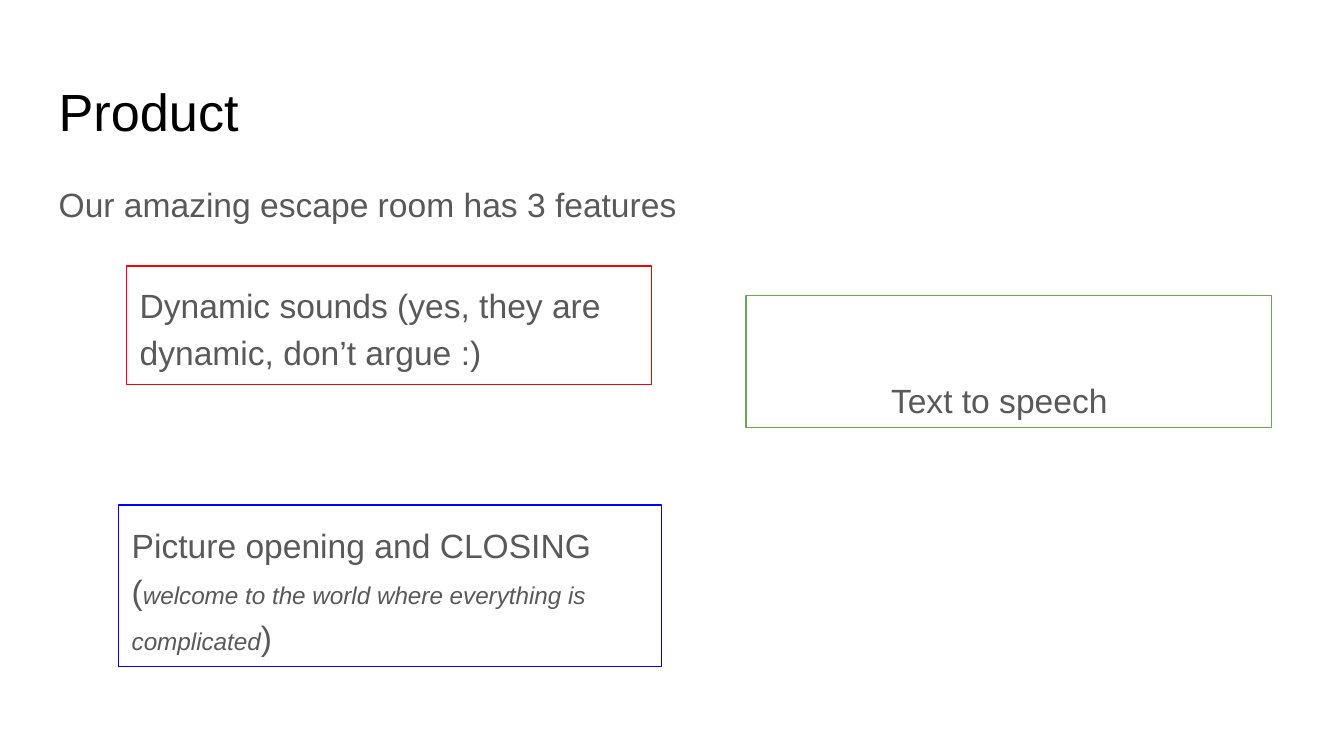
import pptx
import pptx.util
import pptx.dml.color
import pptx.enum.shapes
import pptx.enum.text

Cm = pptx.util.Cm
COLOURS = {"title": "000000", "text": "595959", "sounds": "FF0000",
           "speech": "6AA84F", "picture": "0000FF"}


class FeaturePage:
    """Hold the text style and the page, and add its elements."""

    font = "Arial"
    inset = 0.25

    def __init__(self, deck):
        self.page = deck.slides.add_slide(deck.slide_layouts[6])

    def colour(self, name):
        return pptx.dml.color.RGBColor.from_string(COLOURS[name])

    def fill_text(self, box, spans, colour="text", spacing=1.15, indent=0, bottom=None):
        frame = box.text_frame
        frame.word_wrap = True
        frame.margin_left = Cm(self.inset + indent)
        frame.margin_right = frame.margin_top = Cm(self.inset)
        frame.margin_bottom = Cm(self.inset if bottom is None else bottom)
        anchors = pptx.enum.text.MSO_ANCHOR
        frame.vertical_anchor = anchors.TOP if bottom is None else anchors.BOTTOM
        para = frame.paragraphs[0]
        para.alignment = pptx.enum.text.PP_ALIGN.LEFT
        para.line_spacing = spacing
        for text, size, italic in spans:
            span = para.add_run()
            span.text = text
            span.font.name = self.font
            span.font.size = pptx.util.Pt(size)
            span.font.italic = italic
            span.font.color.rgb = self.colour(colour)

    def add_text(self, place, spans, **style):
        box = self.page.shapes.add_textbox(*map(Cm, place))
        self.fill_text(box, spans, **style)

    def add_frame(self, place, line, spans, **style):
        rectangle = pptx.enum.shapes.MSO_SHAPE.RECTANGLE
        box = self.page.shapes.add_shape(rectangle, *map(Cm, place))
        box.shadow.inherit = False
        box.fill.background()
        box.line.color.rgb = self.colour(line)
        box.line.width = pptx.util.Pt(0.75)
        self.fill_text(box, spans, **style)


def main():
    deck = pptx.Presentation()
    deck.slide_width, deck.slide_height = Cm(25.4), Cm(14.29)
    page = FeaturePage(deck)
    page.add_text((0.86, 1.24, 23.67, 1.6), [("Product", 28, False)],
                  colour="title", spacing=1.0)
    page.add_text((0.86, 3.12, 23.67, 9.5),
                  [("Our amazing escape room has 3 features", 18, False)])
    page.add_frame((2.39, 5.03, 9.93, 2.24), "sounds",
                   [("Dynamic sounds (yes, they are dynamic, don’t argue :)", 18, False)])
    page.add_frame((14.1, 5.59, 9.93, 2.49), "speech",
                   [("Text to speech", 18, False)], indent=2.49, bottom=0.13)
    page.add_frame((2.24, 9.55, 10.26, 3.05), "picture",
                   [("Picture opening and CLOSING (", 18, False),
                    ("welcome to the world where everything is complicated", 13, True),
                    (")", 18, False)])
    deck.save("out.pptx")


if __name__ == "__main__":
    main()
